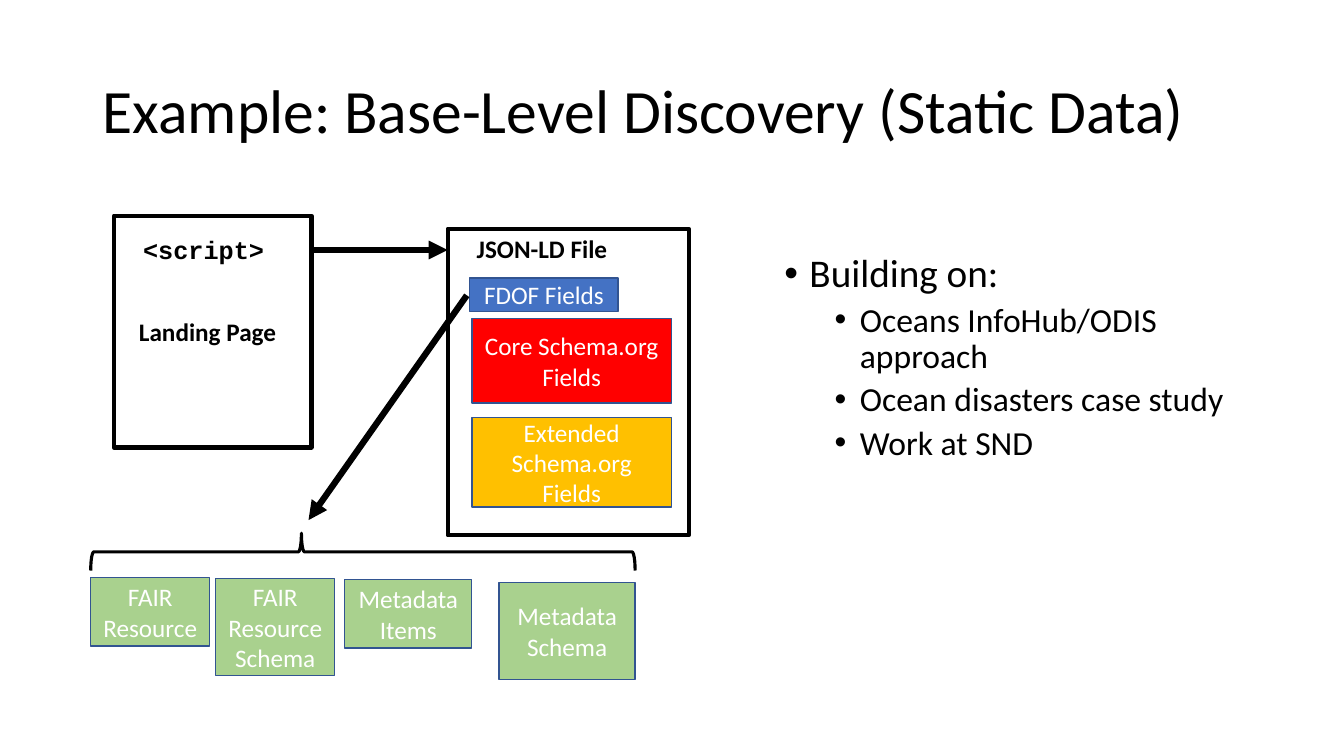
from lxml.etree import SubElement
from pptx import Presentation
from pptx.dml.color import RGBColor
from pptx.enum.shapes import MSO_CONNECTOR as Link, MSO_SHAPE as Shape
from pptx.enum.text import MSO_ANCHOR as Anchor, PP_ALIGN as Align
from pptx.oxml.ns import qn
from pptx.util import Inches, Pt

BLACK, WHITE, EDGE = "000000", "FFFFFF", "325491"
BLUE, RED, AMBER, GREEN = "4472C4", "FF0000", "FFC000", "A9D18E"


def rgb(code):
    """Turn a hex string into a colour."""
    return RGBColor.from_string(code)


def write(frame, lines, color=BLACK, align=Align.LEFT, **font):
    """Fill a text frame with one paragraph per line."""
    values = {"name": "Calibri", "size": Pt(18), **font}
    for number, line in enumerate(lines):
        paragraph = frame.add_paragraph() if number else frame.paragraphs[0]
        paragraph.alignment = align
        run = paragraph.add_run()
        run.text = line
        run.font.color.rgb = rgb(color)
        for key, value in values.items():
            setattr(run.font, key, value)


def add_label(slide, box, lines, wrap=False, anchor=Anchor.TOP, **font):
    """Add a text box and return its text frame."""
    frame = slide.shapes.add_textbox(*map(Inches, box)).text_frame
    frame.word_wrap = wrap
    frame.vertical_anchor = anchor
    write(frame, lines, **font)
    return frame


def add_outline(slide, kind, box, fill, edge, weight):
    """Add a flat preset shape, unfilled when fill is None."""
    shape = slide.shapes.add_shape(kind, *map(Inches, box))
    shape.shadow.inherit = False
    if fill:
        shape.fill.solid()
        shape.fill.fore_color.rgb = rgb(fill)
    else:
        shape.fill.background()
    shape.line.color.rgb = rgb(edge)
    shape.line.width = Pt(weight)
    return shape


def add_block(slide, box, fill, lines):
    """Add a coloured block with centred white text."""
    frame = add_outline(slide, Shape.RECTANGLE, box, fill, EDGE, 1).text_frame
    frame.word_wrap = True
    frame.vertical_anchor = Anchor.MIDDLE
    write(frame, lines, WHITE, Align.CENTER)


def add_arrow(slide, start, end):
    """Draw a thick arrow from start to end."""
    arrow = slide.shapes.add_connector(Link.STRAIGHT, *map(Inches, start + end))
    arrow.line.color.rgb = rgb(BLACK)
    arrow.line.width = Pt(4.5)
    SubElement(arrow.line._get_or_add_ln(), qn("a:tailEnd"), type="triangle")
    SubElement(arrow._element.spPr, qn("a:effectLst"))


def add_title(slide, box):
    """Write the slide heading."""
    heading = add_label(slide, box, ["Example: Base-Level Discovery (Static Data)"],
                        wrap=True, anchor=Anchor.MIDDLE, size=Pt(44))
    heading.paragraphs[0].line_spacing = 0.9


def add_landing_page(slide, box):
    """Draw the landing page with its script tag."""
    left, top = box[:2]
    add_outline(slide, Shape.RECTANGLE, box, WHITE, BLACK, 3)
    add_label(slide, (left + 0.15, top + 0.95, 1.57, 0.4), ["Landing Page"], bold=True)
    add_label(slide, (left + 0.19, top + 0.14, 1.41, 0.4), ["<script>"],
              name="Courier New", bold=True)


def add_json_file(slide, box):
    """Draw the JSON-LD file and its field groups."""
    left, top = box[:2]
    add_outline(slide, Shape.RECTANGLE, box, WHITE, BLACK, 3)
    add_label(slide, (left + 0.19, top, 1.51, 0.4), ["JSON-LD File"], bold=True)
    for dx, dy, width, height, fill, text in (
        (0.22, 0.49, 1.47, 0.33, BLUE, "FDOF Fields"),
        (0.24, 0.89, 1.98, 0.84, RED, "Core Schema.org Fields"),
        (0.24, 1.87, 1.98, 0.89, AMBER, "Extended Schema.org Fields"),
    ):
        add_block(slide, (left + dx, top + dy, width, height), fill, [text])


def add_fdof_parts(slide, box):
    """Draw the brace and the records it gathers."""
    left, top, width, _ = box
    depth = 0.37
    brace_box = (left + (width - depth) / 2, top + (depth - width) / 2, depth, width)
    brace = add_outline(slide, Shape.RIGHT_BRACE, brace_box, None, BLACK, 2.25)
    brace.rotation = 270
    brace.adjustments[0], brace.adjustments[1] = 0.083, 0.387
    for dx, dy, part_width, height, lines in (
        (0, 0.44, 1.18, 0.68, ["FAIR Resource"]),
        (1.24, 0.45, 1.18, 0.96, ["FAIR Resource", "Schema"]),
        (2.52, 0.46, 1.26, 0.68, ["Metadata Items"]),
        (4.05, 0.49, 1.35, 0.96, ["Metadata Schema"]),
    ):
        add_block(slide, (left + dx, top + dy, part_width, height), GREEN, lines)


def add_foundations(slide, box):
    """List the work that the example builds on."""
    frame = add_label(slide, box, ["Building on:", "Oceans InfoHub/ODIS approach",
                                   "Ocean disasters case study", "Work at SND"],
                      wrap=True, size=Pt(24))
    frame.margin_right = Inches(0.5)
    for number, paragraph in enumerate(frame.paragraphs):
        level = min(number, 1)
        properties = paragraph._p.get_or_add_pPr()
        properties.set("marL", str(Inches(0.25 + 0.5 * level)))
        properties.set("indent", str(-Inches(0.25)))
        SubElement(properties, qn("a:buFont"), typeface="Arial")
        SubElement(properties, qn("a:buChar"), char="•")
        for key, value in {"level": level, "line_spacing": 0.9,
                           "space_before": Pt(5 * level)}.items():
            setattr(paragraph, key, value)
    frame.paragraphs[0].runs[0].font.size = Pt(28)


def main():
    """Build the slide and save it."""
    deck = Presentation()
    deck.slide_width, deck.slide_height = Inches(13.33), Inches(7.5)
    slide = deck.slides.add_slide(deck.slide_layouts[6])
    add_title(slide, (0.92, 0.4, 11.5, 1.45))
    add_landing_page(slide, (1.13, 2.14, 1.96, 2.3))
    add_json_file(slide, (4.44, 2.27, 2.39, 3.04))
    add_arrow(slide, (3.09, 2.48), (4.44, 2.48))
    add_foundations(slide, (7.68, 2.47, 5.22, 2.56))
    add_arrow(slide, (4.63, 2.93), (3.06, 5.16))
    add_fdof_parts(slide, (0.9, 5.29, 5.4, 1.45))
    deck.save("out.pptx")


if __name__ == "__main__":
    main()
